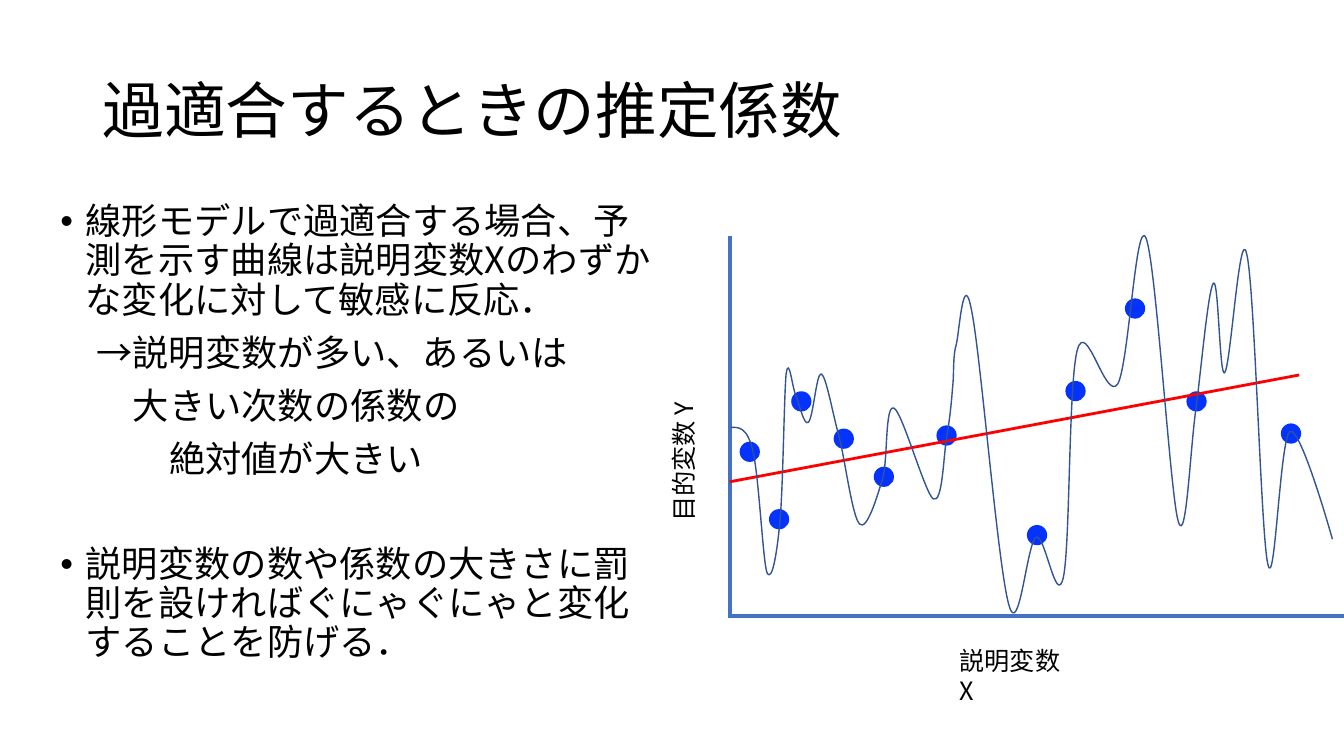
from lxml import etree
from pptx import Presentation
from pptx.dml.color import RGBColor
from pptx.enum.shapes import MSO_CONNECTOR, MSO_SHAPE
from pptx.enum.text import MSO_ANCHOR
from pptx.oxml.ns import qn
from pptx.util import Cm, Pt

STRAIGHT = MSO_CONNECTOR.STRAIGHT
OVAL = MSO_SHAPE.OVAL
MIDDLE = MSO_ANCHOR.MIDDLE
FONT = "Noto Sans CJK JP"
COLORS = {"text": "000000", "axis": "4472C4", "dot": "0432FF",
          "trend": "FF0000", "curve": "325491"}

prs = Presentation()
prs.slide_width, prs.slide_height = Cm(33.87), Cm(19.05)
s = prs.slides.add_slide(prs.slide_layouts[6])


def add_text(left, top, width, height, lines, size, wrap=True):
    sp = s.shapes.add_textbox(Cm(left), Cm(top), Cm(width), Cm(height))
    tf = sp.text_frame
    tf.word_wrap = wrap
    tf.text = "\n".join(lines)
    for p in tf.paragraphs:
        for r in p.runs:
            r.font.size = Pt(size)
            r.font.name = FONT
            r.font.color.rgb = RGBColor.from_string(COLORS["text"])
            etree.SubElement(r.font._element, qn("a:ea"), typeface=FONT)
    return sp


def add_line(x1, y1, x2, y2, color, width):
    line = s.shapes.add_connector(STRAIGHT, Cm(x1), Cm(y1), Cm(x2), Cm(y2))
    line.line.color.rgb = RGBColor.from_string(COLORS[color])
    line.line.width = Pt(width)
    etree.SubElement(line._element.spPr, qn("a:effectLst"))


# Title
title = add_text(2.34, 1.02, 29.21, 3.68, ["過適合するときの推定係数"], 44)
title.text_frame.vertical_anchor = MIDDLE
title.text_frame.paragraphs[0].line_spacing = 0.9

# Body: text, left margin in cm, bullet, space before in points
body_rows = [
    ("線形モデルで過適合する場合、予測を示す曲線は説明変数Xのわずかな変化に対して敏感に反応．", 0.64, True, 0),
    ("→説明変数が多い、あるいは", 0.91, False, 10),
    ("大きい次数の係数の", 1.83, False, 10),
    ("絶対値が大きい", 2.74, False, 10),
    ("説明変数の数や係数の大きさに罰則を設ければぐにゃぐにゃと変化することを防げる．", 0.64, True, 47),
]
body = add_text(1.27, 5, 15.54, 12.09, [row[0] for row in body_rows], 25.9)
for p, (_, margin, bullet, before) in zip(body.text_frame.paragraphs, body_rows):
    p.line_spacing = 0.9
    p.space_before = Pt(before)
    pPr = p._p.get_or_add_pPr()
    pPr.set("marL", str(Cm(margin)))
    if bullet:
        pPr.set("indent", str(-Cm(margin)))
        etree.SubElement(pPr, qn("a:buFont"), typeface="Arial")
        etree.SubElement(pPr, qn("a:buChar"), char="•")

# Axes
add_line(18.39, 5.94, 18.39, 15.57, "axis", 3)
add_line(33.86, 15.52, 18.34, 15.52, "axis", 3)

# Data points
dots = [(18.64, 11.13), (19.38, 12.83), (19.94, 9.86), (21.01, 10.8),
        (22.02, 11.76), (23.6, 10.72), (25.88, 13.23), (26.85, 9.6),
        (28.35, 7.52), (29.9, 9.86), (32.28, 10.67)]
for x, y in dots:
    dot = s.shapes.add_shape(OVAL, Cm(x), Cm(y), Cm(0.51), Cm(0.51))
    dot.shadow.inherit = False
    dot.fill.solid()
    dot.fill.fore_color.rgb = RGBColor.from_string(COLORS["dot"])
    dot.line.fill.background()

# Linear fit
add_line(18.39, 12.14, 32.74, 9.45, "trend", 2)

# Overfitted curve: two control points and an end point per segment,
# in units of 0.0254 cm
start = (725, 424)
segments = [
    ((733, 424), (741, 423), (747, 447)), ((753, 472), (757, 557), (761, 568)),
    ((766, 579), (771, 549), (774, 516)), ((777, 483), (778, 392), (780, 371)),
    ((783, 351), (786, 386), (790, 393)), ((793, 401), (798, 423), (802, 419)),
    ((807, 415), (810, 369), (815, 371)), ((820, 374), (826, 410), (833, 435)),
    ((839, 460), (846, 514), (853, 520)), ((860, 527), (870, 494), (876, 474)),
    ((881, 455), (878, 401), (887, 405)), ((895, 408), (918, 490), (926, 495)),
    ((935, 500), (936, 455), (939, 436)), ((942, 418), (944, 401), (945, 386)),
    ((947, 370), (945, 354), (949, 341)), ((952, 328), (956, 265), (964, 308)),
    ((973, 351), (990, 562), (1001, 600)), ((1011, 637), (1019, 538), (1028, 533)),
    ((1037, 529), (1048, 604), (1055, 573)), ((1062, 542), (1060, 379), (1069, 347)),
    ((1078, 315), (1097, 399), (1109, 381)), ((1120, 362), (1127, 214), (1137, 236)),
    ((1147, 259), (1161, 490), (1169, 517)), ((1177, 545), (1181, 442), (1187, 403)),
    ((1192, 364), (1199, 286), (1204, 281)), ((1209, 275), (1210, 374), (1215, 370)),
    ((1221, 365), (1230, 220), (1237, 252)), ((1245, 284), (1251, 531), (1258, 560)),
    ((1265, 590), (1270, 433), (1280, 428)), ((1291, 424), (1322, 535), (1322, 535)),
]
ends = [segment[-1] for segment in segments]
builder = s.shapes.build_freeform(*start, scale=Cm(0.0254))
builder.add_line_segments(ends, close=False)
curve = builder.convert_to_shape()
curve.shadow.inherit = False
curve.fill.background()
curve.line.color.rgb = RGBColor.from_string(COLORS["curve"])
curve.line.width = Pt(1)

# Turn each straight segment into a Bézier segment
left = min(x for x, y in [start] + ends)
top = min(y for x, y in [start] + ends)
for straight, segment in zip(list(curve._element.iter(qn("a:lnTo"))), segments):
    bezier = etree.Element(qn("a:cubicBezTo"))
    for x, y in segment:
        etree.SubElement(bezier, qn("a:pt"), x=str(x - left), y=str(y - top))
    straight.getparent().replace(straight, bezier)

# Axis labels
add_text(23.93, 16.13, 3.3, 1.02, ["説明変数 X"], 18)
y_label = add_text(15.39, 11.05, 3.68, 1.02, ["目的変数 Y"], 18, wrap=False)
y_label.rotation = 270

prs.save("out.pptx")
